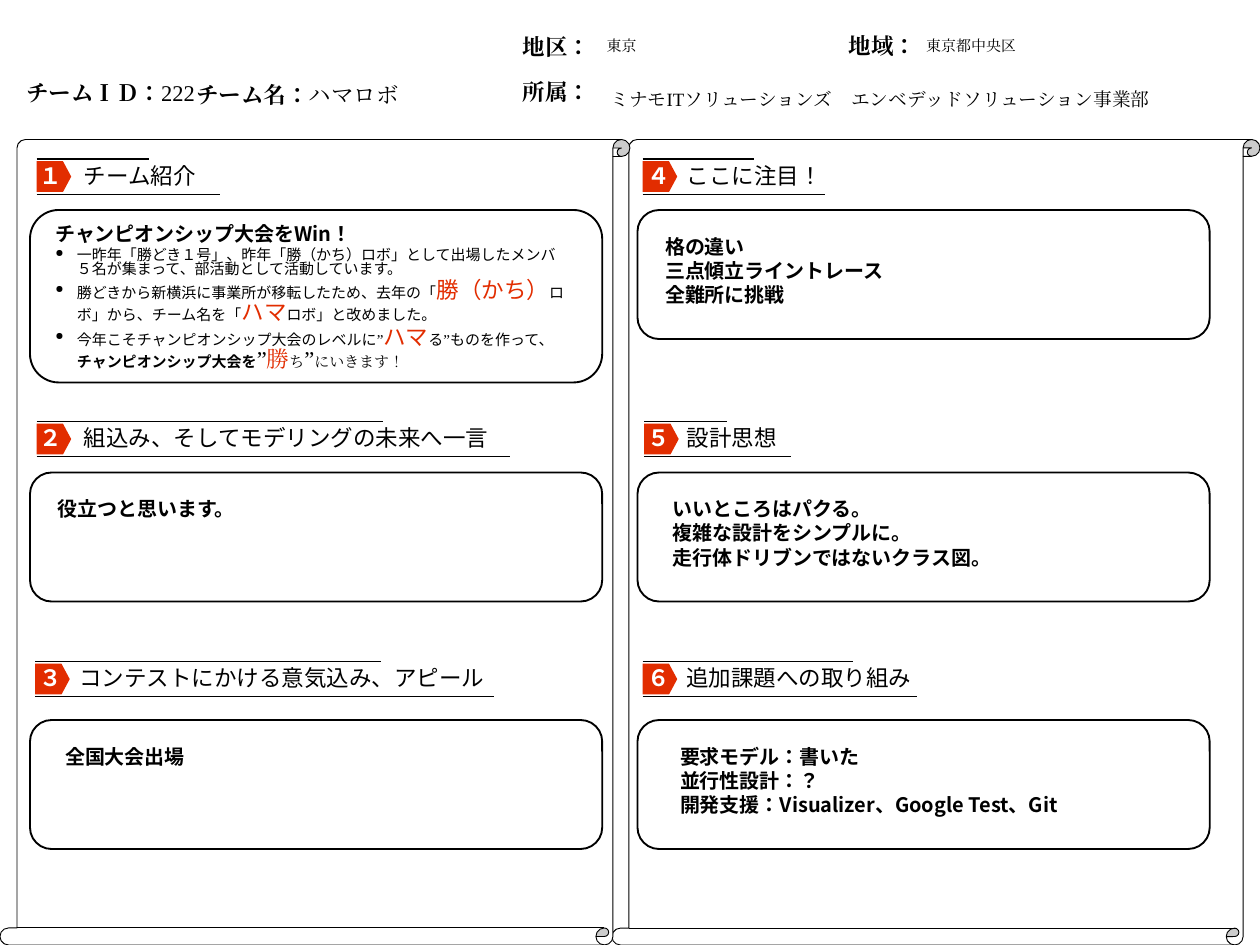
from lxml import etree
from pptx import Presentation
from pptx.dml.color import RGBColor
from pptx.enum.lang import MSO_LANGUAGE_ID
from pptx.enum.shapes import MSO_CONNECTOR, MSO_SHAPE
from pptx.enum.text import MSO_ANCHOR
from pptx.oxml.ns import qn
from pptx.util import Inches, Pt

LINE = MSO_CONNECTOR.STRAIGHT
SCROLL, ROUND = MSO_SHAPE.VERTICAL_SCROLL, MSO_SHAPE.ROUNDED_RECTANGLE
TOP, MID = MSO_ANCHOR.TOP, MSO_ANCHOR.MIDDLE
TONGUE = MSO_LANGUAGE_ID.JAPANESE
SANS, SERIF = "Noto Sans CJK JP", "Times New Roman"
BLACK, WHITE, RED = "000000", "FFFFFF", "E22D00"
WIDE, TALL = Inches(14), Inches(10.5)
COLS = 168
WIDTH, HIGH = 76.3, 17.2
LEFT, RIGHT = 4, 85
ROWS = 28, 63, 96

HEADS = [
    (1.8, 8.8, 60.5, 7, [("チームＩＤ：", 18, True), ("222", 18, False)]),
    (68, 8.9, 18.2, 6.7, [("所属：", 18, True)]),
    (79.7, 9.7, 84, 7, [("ミナモITソリューションズ　エンベデッドソリューション事業部", 15, False)]),
    (68, 2.8, 21.5, 6.8, [("地区：", 18, True)]),
    (79.2, 2.6, 30.2, 7, [("東京", 12, False)]),
    (111.5, 2.6, 18.2, 7, [("地域：", 18, True)]),
    (121.8, 2.6, 30.2, 7, [("東京都中央区", 12, False)]),
    (24.5, 9.7, 57.6, 5.9, [("チーム名：", 18, True), ("ハマロボ", 18, False)]),
]

PARTS = [
    ("１", "チーム紹介", (LEFT, ROWS[0], WIDTH, 23), (0.9, 6.5), 6, (14.9, 24.4), (1.7, 1.3),
     ["チャンピオンシップ大会をWin！"]),
    ("２", "組込み、そしてモデリングの未来へ一言", (LEFT, ROWS[1], WIDTH, HIGH), (0.9, 6.5), 6,
     (46.1, 63.1), (2, 3), ["役立つと思います。"]),
    ("３", "コンテストにかける意気込み、アピール", (LEFT, ROWS[2], WIDTH, HIGH), (0.7, 7.5), 5.4,
     (46.1, 61.2), (3, 3), ["全国大会出場"]),
    ("４", "ここに注目！", (RIGHT, ROWS[0], WIDTH, HIGH), (0.7, 6.5), 5.4, (14.9, 24.3), (2, 3),
     ["格の違い", "三点傾立ライントレース", "全難所に挑戦"]),
    ("５", "設計思想", (RIGHT, ROWS[1], WIDTH, HIGH), (0.9, 6.5), 5.4, (11, 19.6), (3, 3),
     ["いいところはパクる。", "複雑な設計をシンプルに。", "走行体ドリブンではないクラス図。"]),
    ("６", "追加課題への取り組み", (RIGHT, ROWS[2], WIDTH, HIGH), (0.7, 7.5), 5.3, (28.1, 36.6),
     (4, 3), ["要求モデル：書いた", "並行性設計：？", "開発支援：Visualizer、Google Test、Git"]),
]

QUOTE = ("”", 12, False, BLACK, SERIF)
LARGE = ("”", 18, False, BLACK, SERIF)
POINTS = [
    [("一昨年「勝どき１号」、昨年「勝（かち）ロボ」として出場したメンバ５名が集まって、"
      "部活動として活動しています。",)],
    [("勝どきから新横浜に事業所が移転したため、去年の「",), ("勝（かち）", 18, False, RED),
     ("ロボ」から、チーム名を「",), ("ハマ", 18, False, RED), ("ロボ」と改めました。",)],
    [("今年こそチャンピオンシップ大会のレベルに",), QUOTE, ("ハマ", 18, False, RED),
     ("る",), QUOTE, ("ものを作って、",), ("チャンピオンシップ大会を", 12, True),
     LARGE, ("勝", 18, False, RED, SERIF), ("ち", 12, False, BLACK, SERIF), LARGE,
     ("にいきます！", 12, False, BLACK, SERIF)],
]


def tint(code):
    """Turn a hex string into a colour."""
    return RGBColor.from_string(code)


def span(*cells):
    """Turn grid cells into slide lengths."""
    return [round(cell * WIDE / COLS) for cell in cells]


def add_run(para, text, size=12, bold=False, color=BLACK, face=SANS):
    """Add one styled run to a paragraph."""
    run = para.add_run()
    run.text = text
    font = run.font
    font.size, font.bold, font.name = Pt(size), bold, face
    font.language_id = TONGUE
    font.color.rgb = tint(color)
    etree.SubElement(font._element, qn("a:ea"), typeface=face)


def add_frame(slide, box, pad=0.14, wrap=False, anchor=TOP):
    """Add an empty text box and return its frame."""
    frame = slide.shapes.add_textbox(*span(*box)).text_frame
    frame.word_wrap, frame.vertical_anchor = wrap, anchor
    frame.margin_left = frame.margin_right = Inches(pad)
    frame.margin_top = frame.margin_bottom = Inches(pad / 2)
    return frame


def add_rule(slide, x, y, size):
    """Draw a thin level rule."""
    rule = slide.shapes.add_connector(LINE, *span(x, y, x + size, y))
    rule.line.color.rgb, rule.line.width = tint(BLACK), Pt(1)
    etree.SubElement(rule._element.spPr, qn("a:effectLst"))


def add_panel(slide, kind, box, bend, weight):
    """Draw an outlined panel."""
    panel = slide.shapes.add_shape(kind, *span(*box))
    panel.shadow.inherit = False
    panel.adjustments[0] = bend
    panel.line.color.rgb, panel.line.width = tint(BLACK), Pt(weight)
    panel.fill.background()
    return panel


def add_scroll(slide, box, bend):
    """Draw a white scroll turned both ways."""
    scroll = add_panel(slide, SCROLL, box, bend, 0.75)
    scroll.fill.solid()
    scroll.fill.fore_color.rgb = tint(WHITE)
    for side in ("flipH", "flipV"):
        scroll._element.spPr.xfrm.set(side, "1")


def add_badge(slide, x, y):
    """Draw the red arrow tag behind a number."""
    wide, high, neck = 4.6, 4.1, 3.5
    ends = [(neck, 0), (wide, high / 2), (neck, high), (0, high)]
    pen = slide.shapes.build_freeform(*span(x, y))
    pen.add_line_segments([span(x + dx, y + dy) for dx, dy in ends])
    badge = pen.convert_to_shape()
    badge.shadow.inherit = False
    badge.fill.solid()
    badge.fill.fore_color.rgb = tint(RED)
    badge.line.fill.background()


def add_title(slide, box, mark, text, shift, indent, rules):
    """Place a numbered heading above a box."""
    left, top = box[0] + shift[0], box[1] - shift[1]
    add_badge(slide, left, top)
    for size, drop in zip(rules, (-0.3, 4.4)):
        add_rule(slide, left, top + drop, size)
    for start, wide, word, bold, color in ((0.1, 5.4, mark, True, WHITE),
                                           (indent, rules[1], text, False, BLACK)):
        frame = add_frame(slide, (box[0] + start, top - 0.5, wide, 4.8), 0.1)
        add_run(frame.paragraphs[0], word, 18, bold, color)


def add_bullet(para):
    """Give a paragraph a hanging round bullet."""
    props = para._p.get_or_add_pPr()
    props.set("marL", str(Inches(0.24)))
    props.set("indent", str(-Inches(0.24)))
    shade = etree.SubElement(props, qn("a:buClr"))
    etree.SubElement(shade, qn("a:srgbClr"), val=BLACK)
    etree.SubElement(props, qn("a:buSzPct"), val="70000")
    etree.SubElement(props, qn("a:buChar"), char="●")


def add_body(slide, box, shift, lines, points):
    """Write bold lines and bullet points inside a box."""
    frame = add_frame(slide, (box[0] + shift[0], box[1] + shift[1], 71.8, 9), wrap=True)
    texts = [[(line, 16, True)] for line in lines] + points
    for i, runs in enumerate(texts):
        para = frame.add_paragraph() if i else frame.paragraphs[0]
        dot = i >= len(lines)
        para.line_spacing, para.space_before = 0.8, Pt(3 if dot else 4)
        if dot:
            add_bullet(para)
        for run in runs:
            add_run(para, *run)


def add_head(slide, heads):
    """Write the team details along the top."""
    for *box, runs in heads:
        para = add_frame(slide, box, anchor=MID).paragraphs[0]
        for text, size, bold in runs:
            add_run(para, text, size, bold, face=SERIF)


def main():
    """Build the team sheet and save it."""
    deck = Presentation()
    deck.slide_width, deck.slide_height = WIDE, TALL
    slide = deck.slides.add_slide(deck.slide_layouts[6])
    add_scroll(slide, (81.6, 18.6, 86.4, 107.4), 0.026)
    add_scroll(slide, (0, 18.6, 84, 107.4), 0.027)
    add_head(slide, HEADS)
    for i, (mark, text, box, shift, indent, rules, inset, lines) in enumerate(PARTS):
        add_title(slide, box, mark, text, shift, indent, rules)
        add_panel(slide, ROUND, box, 0.167, 1.5)
        add_body(slide, box, inset, lines, [] if i else POINTS)
    deck.save("out.pptx")


if __name__ == "__main__":
    main()
